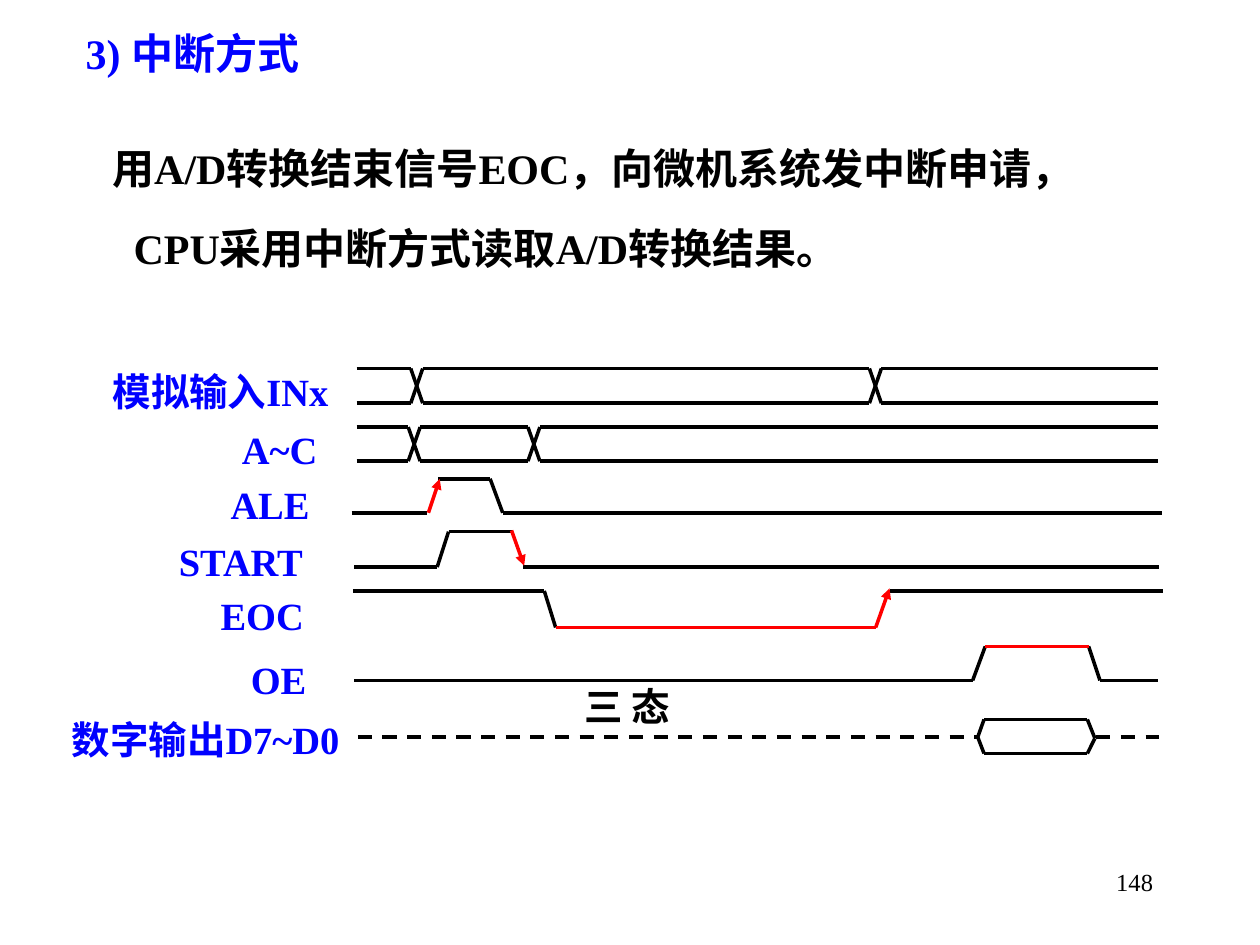
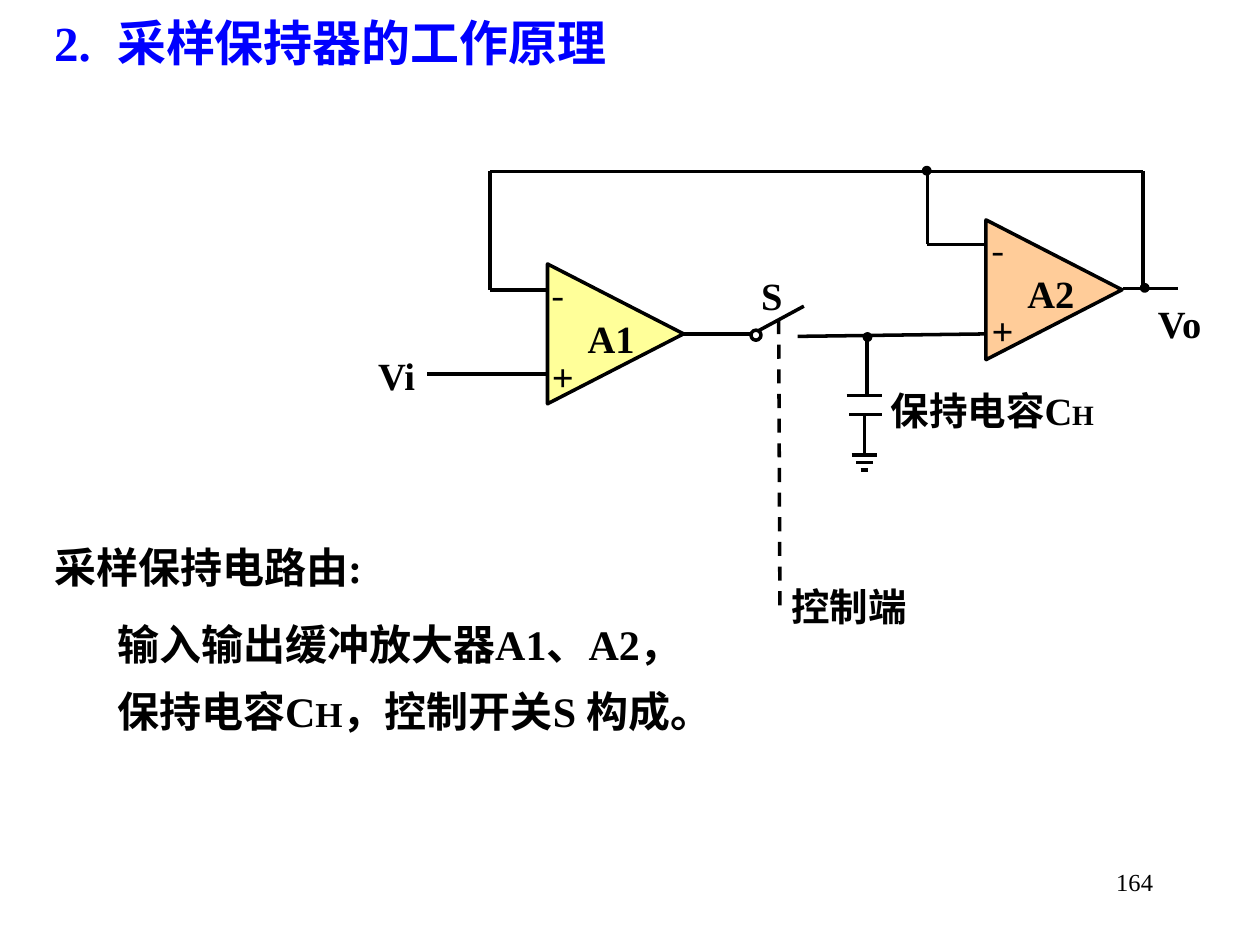
from itertools import pairwise
from pptx import Presentation
from pptx.dml.color import RGBColor
from pptx.enum.dml import MSO_LINE
from pptx.enum.shapes import MSO_CONNECTOR, MSO_SHAPE
from pptx.enum.text import MSO_ANCHOR, MSO_AUTO_SIZE, PP_ALIGN
from pptx.oxml.ns import qn
from pptx.util import Inches, Pt
from lxml.etree import SubElement as Sub

BLACK = RGBColor(0x00, 0x00, 0x00)
WHITE = RGBColor(0xFF, 0xFF, 0xFF)
BLUE = RGBColor(0x00, 0x00, 0xFF)
RED = RGBColor(0xFF, 0x00, 0x00)
PEACH = RGBColor(0xFF, 0xCC, 0x99)
CREAM = RGBColor(0xFF, 0xFF, 0x99)
LATIN = "Times New Roman"
HAN = "Noto Sans CJK SC"
LEFT, RIGHT, MID = PP_ALIGN.LEFT, PP_ALIGN.RIGHT, PP_ALIGN.CENTER

deck = Presentation()
deck.slide_width, deck.slide_height = Inches(10), Inches(7.5)
CELL = deck.slide_width // 100


def write(box, cells, lines, size, color, bold=True, face=LATIN, small=16, align=LEFT, pad=0):
    box.left, box.top, box.width, box.height = [round(n * CELL) for n in cells]
    frame = box.text_frame
    frame.word_wrap = True
    frame.auto_size = MSO_AUTO_SIZE.NONE
    frame.vertical_anchor = MSO_ANCHOR.TOP
    frame.margin_left = frame.margin_right = Inches(pad)
    frame.margin_top = frame.margin_bottom = Inches(pad / 2)
    for i, line in enumerate(lines):
        para = frame.add_paragraph() if i else frame.paragraphs[0]
        props = para._p.get_or_add_pPr()
        props.set("marL", "0")
        props.set("indent", "0")
        Sub(props, qn("a:buNone"))
        if "\t" in line:
            stops = Sub(props, qn("a:tabLst"))
            Sub(stops, qn("a:tab"), pos=str(Inches(0.59)), algn="l")
        para.alignment = align
        para.space_before = Pt(0)
        for j, part in enumerate(line.split("|")):
            run = para.add_run()
            run.text = part
            run.font.size = Pt(small if j % 2 else size)
            run.font.bold = bold
            run.font.color.rgb = color
            run.font.name = face
            Sub(run._r.get_or_add_rPr(), qn("a:ea"), typeface=HAN)
    return frame


def wire(slide, points, color=BLACK, dash=False, arrow=False):
    for (x1, y1), (x2, y2) in pairwise(points):
        line = slide.shapes.add_connector(
            MSO_CONNECTOR.STRAIGHT, *[round(n * CELL) for n in (x1, y1, x2, y2)])
        line.line.color.rgb = color
        line.line.width = Pt(2)
        if dash:
            line.line.dash_style = MSO_LINE.DASH
        if arrow:
            Sub(line.line._get_or_add_ln(), qn("a:tailEnd"), type="triangle")
        Sub(line._element.spPr, qn("a:effectLst"))


pages = [
    ("3) 中断方式", (5.8, 1.7, 22.5, 5), 24, MSO_ANCHOR.TOP,
     ["用A/D转换结束信号EOC，向微机系统发中断申请，", "CPU采用中断方式读取A/D转换结果。"],
     (7.9, 10.8, 81.5, 11.4), "148"),
    ("2.\t采样保持器的工作原理", (3.3, 0, 47.5, 6.7), 28, MSO_ANCHOR.MIDDLE,
     ["采样保持电路由:", "输入输出缓冲放大器A1、A2，", "保持电容C|H|，控制开关S 构成。"],
     (3.3, 42.5, 56, 16.4), "164"),
]
slides, bodies = [], []
for head, spot, size, anchor, lines, area, num in pages:
    slide = deck.slides.add_slide(deck.slide_layouts[1])
    title, body = slide.placeholders
    write(title, spot, [head], size, BLUE, pad=0.1).vertical_anchor = anchor
    bodies.append(write(body, area, lines, 24, BLACK, small=20, pad=0.1))
    foot = slide.shapes.add_textbox(0, 0, CELL, CELL)
    write(foot, (71.7, 68.3, 20.8, 5), [num], 14, BLACK, bold=False, align=RIGHT, pad=0.1)
    slides.append(slide)
timing, hold = slides

bodies[0].word_wrap = False
reply = bodies[0].paragraphs[1]
reply._p.pPr.set("marL", str(Inches(0.17)))
reply.line_spacing = 1.6
for para in bodies[1].paragraphs[1:]:
    para._p.pPr.set("marL", str(Inches(0.5)))
    para.space_before = Pt(15)
bodies[1].paragraphs[2].line_spacing = 0.8

for top, low, marks in [(29.25, 32, (32.6, 69)), (33.9, 36.6, (32.4, 41.9))]:
    start = 28.3
    for mark in marks:
        end = mark + 0.95
        wire(timing, [(start, top), (mark, top), (end, low)])
        wire(timing, [(start, low), (mark, low), (end, top)])
        start = end
    for level in (top, low):
        wire(timing, [(start, level), (91.9, level)])

signals = [
    [(27.9, 40.7), (33.9, 40.7)],
    [(34.8, 38), (38.9, 38), (39.9, 40.7), (92.2, 40.7)],
    [(28.1, 45), (34.7, 45), (35.6, 42.2), (40.6, 42.2)],
    [(41.5, 45), (92, 45)],
    [(28, 46.9), (43.2, 46.9), (44.1, 49.8)],
    [(70.6, 46.9), (92.3, 46.9)],
    [(28.1, 54), (77.2, 54), (78.2, 51.3)],
    [(86.4, 51.3), (87.3, 54), (91.9, 54)],
    [(77.6, 58.5), (78.1, 57.1), (86.3, 57.1), (86.9, 58.6),
     (86.3, 59.8), (78.1, 59.8), (77.6, 58.5)],
]
for points in signals:
    wire(timing, points)
for points in [[(44.1, 49.8), (69.5, 49.8)], [(78.2, 51.3), (86.4, 51.3)]]:
    wire(timing, points, RED)
for points in [[(34, 40.7), (34.9, 38)], [(40.6, 42.1), (41.6, 44.9)],
               [(69.5, 49.8), (70.6, 46.7)]]:
    wire(timing, points, RED, arrow=True)
for start, end in [(28.4, 77.6), (87, 92)]:
    wire(timing, [(start, 58.5), (end, 58.5)], dash=True)

circuit = [
    [(43.5, 23), (38.9, 23), (38.9, 13.6), (90.7, 13.6), (90.7, 22.9)],
    [(73.6, 13.6), (73.6, 19.4), (78.3, 19.4)],
    [(89.1, 22.9), (93.5, 22.9)],
    [(33.9, 29.7), (43.3, 29.7)],
    [(54.2, 26.5), (59.6, 26.5)],
    [(60.1, 26.3), (63.8, 24.3)],
    [(63.3, 26.7), (78.3, 26.5)],
    [(68.8, 26.7), (68.8, 31.4)],
    [(67.2, 31.4), (70, 31.4)],
    [(67.4, 32.9), (70, 32.9)],
    [(68.6, 32.9), (68.6, 36.1)],
]
for points in circuit:
    wire(hold, points)
for i in range(3):
    half, level = 1 - 0.35 * i, 36.1 + 0.6 * i
    wire(hold, [(68.6 - half, level), (68.6 + half, level)])
wire(hold, [(61.8, 25.4), (61.9, 48.1)], dash=True)

DOT, AMP = MSO_SHAPE.OVAL, MSO_SHAPE.ISOSCELES_TRIANGLE
parts = [
    (DOT, 73.3, 13.3, 0.5, 0.5, BLACK), (DOT, 90.6, 22.6, 0.5, 0.5, BLACK),
    (DOT, 68.6, 26.5, 0.5, 0.5, BLACK), (DOT, 59.6, 26.2, 0.8, 0.8, WHITE),
    (AMP, 43.3, 21.1, 11.1, 10.8, CREAM), (AMP, 78.1, 17.6, 11.1, 10.8, PEACH),
]
for kind, *cells, color in parts:
    part = hold.shapes.add_shape(kind, *[round(n * CELL) for n in cells])
    part.rotation = 90 if kind == AMP else 0
    part.shadow.inherit = False
    part.fill.solid()
    part.fill.fore_color.rgb = color
    part.line.color.rgb = BLACK
    part.line.width = Pt(2)

labels = [
    (timing, 5, 29.2, 25, 2.9, "模拟输入INx", BLUE),
    (timing, 19.2, 33.8, 7.5, 3, "A~C", BLUE),
    (timing, 18.3, 38.2, 7, 2.7, "ALE", BLUE),
    (timing, 14.2, 42.7, 10.6, 3.5, "START", BLUE),
    (timing, 17.5, 47, 7.2, 2.7, "EOC", BLUE),
    (timing, 19.9, 52.1, 5.5, 2.7, "OE", BLUE),
    (timing, 5.7, 56.8, 23.4, 4.9, "数字输出D7~D0", BLUE),
    (timing, 46.4, 54.2, 11.1, 5, "三 态", BLACK),
    (hold, 91.9, 23.8, 4.2, 3, "Vo", BLACK),
    (hold, 30, 27.9, 4.2, 3, "Vi", BLACK),
    (hold, 60.4, 21.6, 2.4, 3, "S", BLACK),
    (hold, 62.8, 46.3, 11, 4.4, "控制端", BLACK),
    (hold, 70.7, 30.7, 18.6, 4, "保持电容C|H", BLACK),
]
for name, left, top in [("A1", 43.8, 21.6), ("A2", 78.7, 18)]:
    labels += [
        (hold, left, top, 2.3, 3, "-", BLACK),
        (hold, left, top + 6.4, 2.3, 3, "+", BLACK),
        (hold, left + 2.85, top + 3.4, 4.4, 3, name, BLACK),
    ]
for slide, *cells, text, color in labels:
    box = slide.shapes.add_textbox(0, 0, CELL, CELL)
    minus = text == "-"
    write(box, cells, [text], 22, color, bold=not minus, face=HAN if minus else LATIN,
          align=MID if text.endswith("INx") else LEFT)

deck.save("out.pptx")
